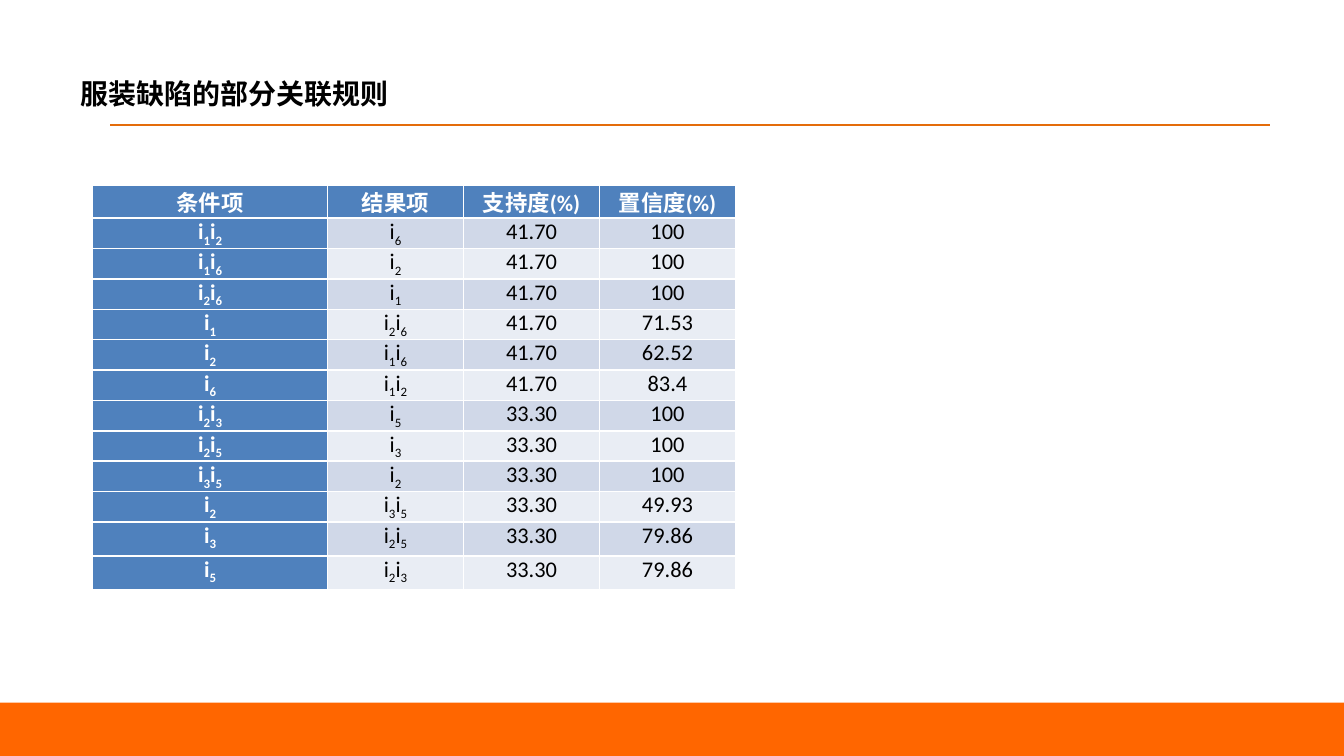
from lxml.etree import SubElement
from pptx import Presentation
from pptx.dml.color import RGBColor
from pptx.enum.shapes import MSO_CONNECTOR, MSO_SHAPE
from pptx.enum.text import MSO_ANCHOR, PP_ALIGN
from pptx.oxml.ns import qn
from pptx.util import Cm, Pt

HEADERS = ["条件项", "结果项", "支持度(%)", "置信度(%)"]
RULES = [
    ("i1i2", "i6", "41.70", "100"),
    ("i1i6", "i2", "41.70", "100"),
    ("i2i6", "i1", "41.70", "100"),
    ("i1", "i2i6", "41.70", "71.53"),
    ("i2", "i1i6", "41.70", "62.52"),
    ("i6", "i1i2", "41.70", "83.4"),
    ("i2i3", "i5", "33.30", "100"),
    ("i2i5", "i3", "33.30", "100"),
    ("i3i5", "i2", "33.30", "100"),
    ("i2", "i3i5", "33.30", "49.93"),
    ("i3", "i2i5", "33.30", "79.86"),
    ("i5", "i2i3", "33.30", "79.86"),
]
COL_WIDTHS = [4.44, 2.57, 2.57, 2.57]
ROW_HEIGHTS = [0.53] * 11 + [0.64] * 2


def rgb(value):
    return RGBColor.from_string(value)


def add_title(s, text, x, y, w, h):
    sp = s.shapes.title
    sp.left, sp.top, sp.width, sp.height = Cm(x), Cm(y), Cm(w), Cm(h)
    tf = sp.text_frame
    tf.text = text
    tf.vertical_anchor = MSO_ANCHOR.MIDDLE
    p = tf.paragraphs[0]
    p.alignment = PP_ALIGN.LEFT
    p.font.size = Pt(15)
    p.font.bold = True
    p.font.color.rgb = rgb("000000")
    p.font.name = "Noto Sans CJK SC"
    def_rpr = p._p.pPr.find(qn("a:defRPr"))
    SubElement(def_rpr, qn("a:ea")).set("typeface", "Noto Sans CJK SC")


def add_item(p, text):
    for char in text:
        r = p.add_run()
        r.text = char
        if char.isdigit():
            r._r.get_or_add_rPr().set("baseline", "-25000")


def fill_cell(cell, text, is_item, is_head, fill):
    cell.margin_left = cell.margin_right = Cm(0.15)
    cell.margin_top = cell.margin_bottom = 0
    cell.fill.solid()
    cell.fill.fore_color.rgb = rgb(fill)
    p = cell.text_frame.paragraphs[0]
    p.alignment = PP_ALIGN.CENTER
    p.font.name = "Calibri"
    p.font.size = Pt(12)
    p.font.bold = is_head
    p.font.color.rgb = rgb("FFFFFF" if is_head else "000000")
    if is_item:
        add_item(p, text)
    else:
        p.add_run().text = text


def add_rules_table(s, x, y, w, h):
    rows = [HEADERS] + RULES
    tbl = s.shapes.add_table(len(rows), len(HEADERS), Cm(x), Cm(y), Cm(w), Cm(h)).table
    tbl.first_col = True
    for col, width in zip(tbl.columns, COL_WIDTHS):
        col.width = Cm(width)
    for row, height in zip(tbl.rows, ROW_HEIGHTS):
        row.height = Cm(height)
    for i, row in enumerate(rows):
        for j, text in enumerate(row):
            is_head = i == 0 or j == 0
            band = "D0D8E8" if i % 2 else "E9EDF4"
            fill = "4F81BD" if is_head else band
            fill_cell(tbl.cell(i, j), text, i > 0 and j < 2, is_head, fill)


def add_rule_line(s, x, y, w):
    line = s.shapes.add_connector(MSO_CONNECTOR.STRAIGHT, Cm(x), Cm(y), Cm(x + w), Cm(y))
    line.line.color.rgb = rgb("E46C0A")
    line.line.width = Pt(0.75)
    SubElement(line._element.spPr, qn("a:effectLst"))


def add_footer(s, x, y, w, h):
    sp = s.shapes.add_shape(MSO_SHAPE.RECTANGLE, Cm(x), Cm(y), Cm(w), Cm(h))
    sp.shadow.inherit = False
    sp.fill.solid()
    sp.fill.fore_color.rgb = rgb("FF6600")
    sp.line.fill.background()


def main():
    prs = Presentation()
    prs.slide_width, prs.slide_height = Cm(25.4), Cm(14.29)
    s = prs.slides.add_slide(prs.slide_layouts[5])
    add_title(s, "服装缺陷的部分关联规则", 1.27, 0.57, 22.86, 2.38)
    add_rules_table(s, 1.75, 3.51, sum(COL_WIDTHS), sum(ROW_HEIGHTS))
    add_rule_line(s, 2.08, 2.36, 21.92)
    add_footer(s, 0, 13.28, 25.4, 1.01)
    prs.save("out.pptx")


if __name__ == "__main__":
    main()
